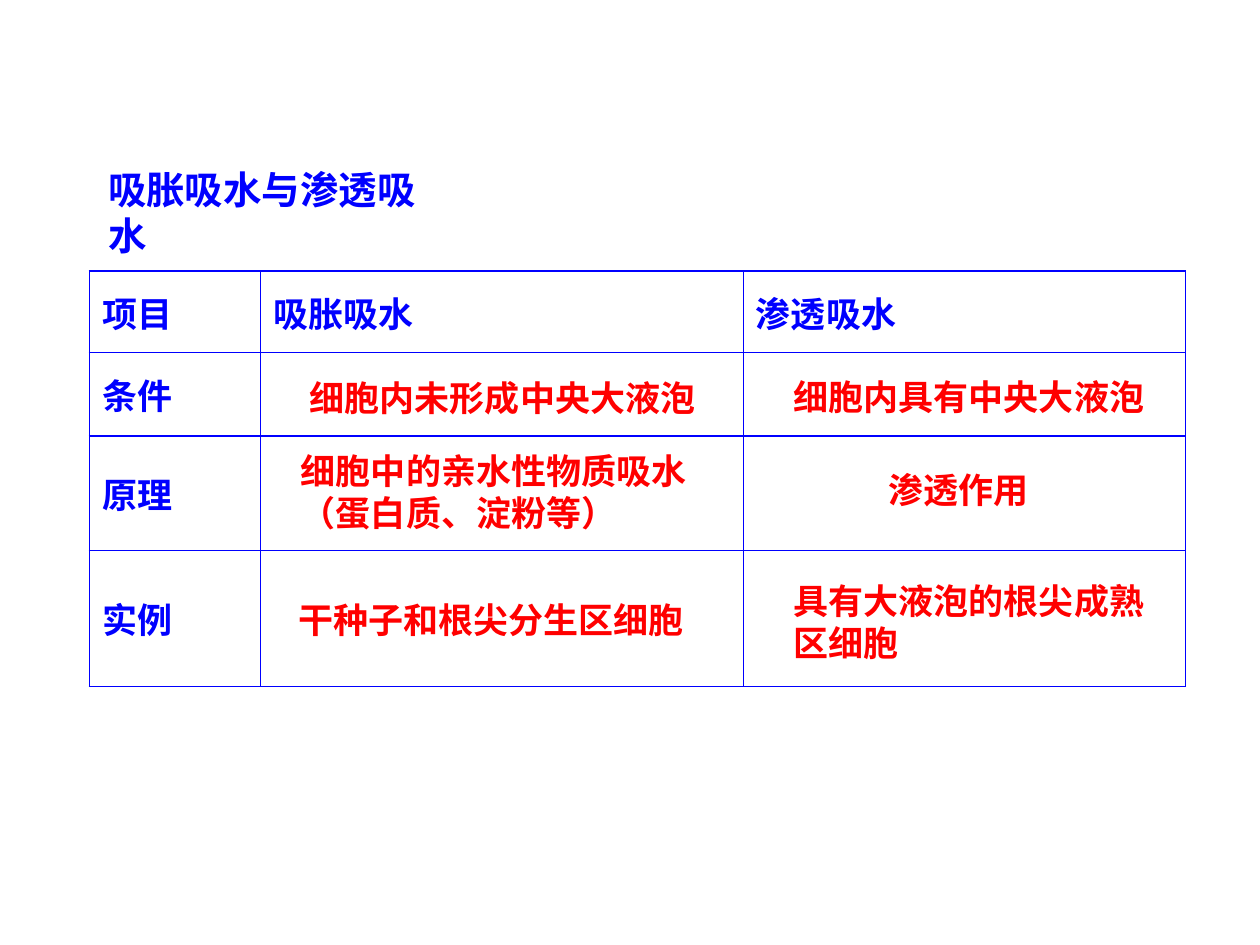
from lxml import etree
from pptx import Presentation, util as u
from pptx.dml.color import RGBColor
from pptx.enum import text
from pptx.oxml.ns import qn

COLORS = {"label": "0000FF", "answer": "FF0000", "border": "0000FF"}
FONT = "Noto Sans CJK SC"


def write(frame, lines, size, color):
    for i, line in enumerate(lines):
        paragraph = frame.paragraphs[0] if i == 0 else frame.add_paragraph()
        paragraph.text = line
        font = paragraph.font
        font.size, font.bold, font.name = u.Pt(size), True, FONT
        font.color.rgb = RGBColor.from_string(COLORS[color])
        defaults = paragraph._p.pPr.find(qn("a:defRPr"))
        etree.SubElement(defaults, qn("a:ea"), typeface=FONT)


def add_text(left, top, width, height, lines, size, color, wrap=False):
    box = slide.shapes.add_textbox(*map(u.Inches, (left, top, width, height)))
    frame = box.text_frame
    frame.word_wrap = wrap
    frame.auto_size = text.MSO_AUTO_SIZE.SHAPE_TO_FIT_TEXT
    write(frame, lines, size, color)
    return frame


deck = Presentation()
deck.slide_width, deck.slide_height = u.Inches(10), u.Inches(7.5)
slide = deck.slides.add_slide(deck.slide_layouts[6])

title = add_text(0.76, 1.45, 2.94, 0.47, ["吸胀吸水与渗透吸水"], 22, "label")
title.vertical_anchor = text.MSO_ANCHOR.MIDDLE

columns = [1.36, 3.83, 3.51]
rows = [0.65, 0.66, 0.91, 1.08]
labels = [["项目", "吸胀吸水", "渗透吸水"], ["条件", "", ""], ["原理", "", ""], ["实例", "", ""]]
comparison = slide.shapes.add_table(
    len(rows), len(columns), u.Inches(0.71), u.Inches(2.15),
    u.Inches(sum(columns)), u.Inches(sum(rows))).table
comparison.first_row = comparison.horz_banding = False
for column, width in zip(comparison.columns, columns):
    column.width = u.Inches(width)
for row, height in zip(comparison.rows, rows):
    row.height = u.Inches(height)

for r, row_labels in enumerate(labels):
    for c, label in enumerate(row_labels):
        cell = comparison.cell(r, c)
        cell.vertical_anchor = text.MSO_ANCHOR.MIDDLE
        if label:
            write(cell.text_frame, [label], 20, "label")
        outer = {"lnL": c == 0, "lnR": c == len(columns) - 1,
                 "lnT": r == 0, "lnB": r == len(rows) - 1}
        for side, is_outer in outer.items():
            line = etree.SubElement(cell._tc.get_or_add_tcPr(), qn(f"a:{side}"),
                                    w=str(u.Pt(1.08 if is_outer else 0.75)))
            fill = etree.SubElement(line, qn("a:solidFill"))
            etree.SubElement(fill, qn("a:srgbClr"), val=COLORS["border"])
        cell.fill.background()

answers = [
    (2.36, 2.94, 3.26, 0.44, ["细胞内未形成中央大液泡"], False),
    (6.2, 2.93, 2.98, 0.44, ["细胞内具有中央大液泡"], False),
    (2.29, 3.52, 3.26, 0.77, ["细胞中的亲水性物质吸水", "（蛋白质、淀粉等）"], False),
    (6.95, 3.67, 1.86, 0.44, ["渗透作用"], True),
    (2.27, 4.7, 3.26, 0.44, ["干种子和根尖分生区细胞"], False),
    (6.2, 4.55, 2.98, 0.77, ["具有大液泡的根尖成熟", "区细胞"], False),
]
for left, top, width, height, lines, wrap in answers:
    add_text(left, top, width, height, lines, 20, "answer", wrap)

deck.save("out.pptx")
